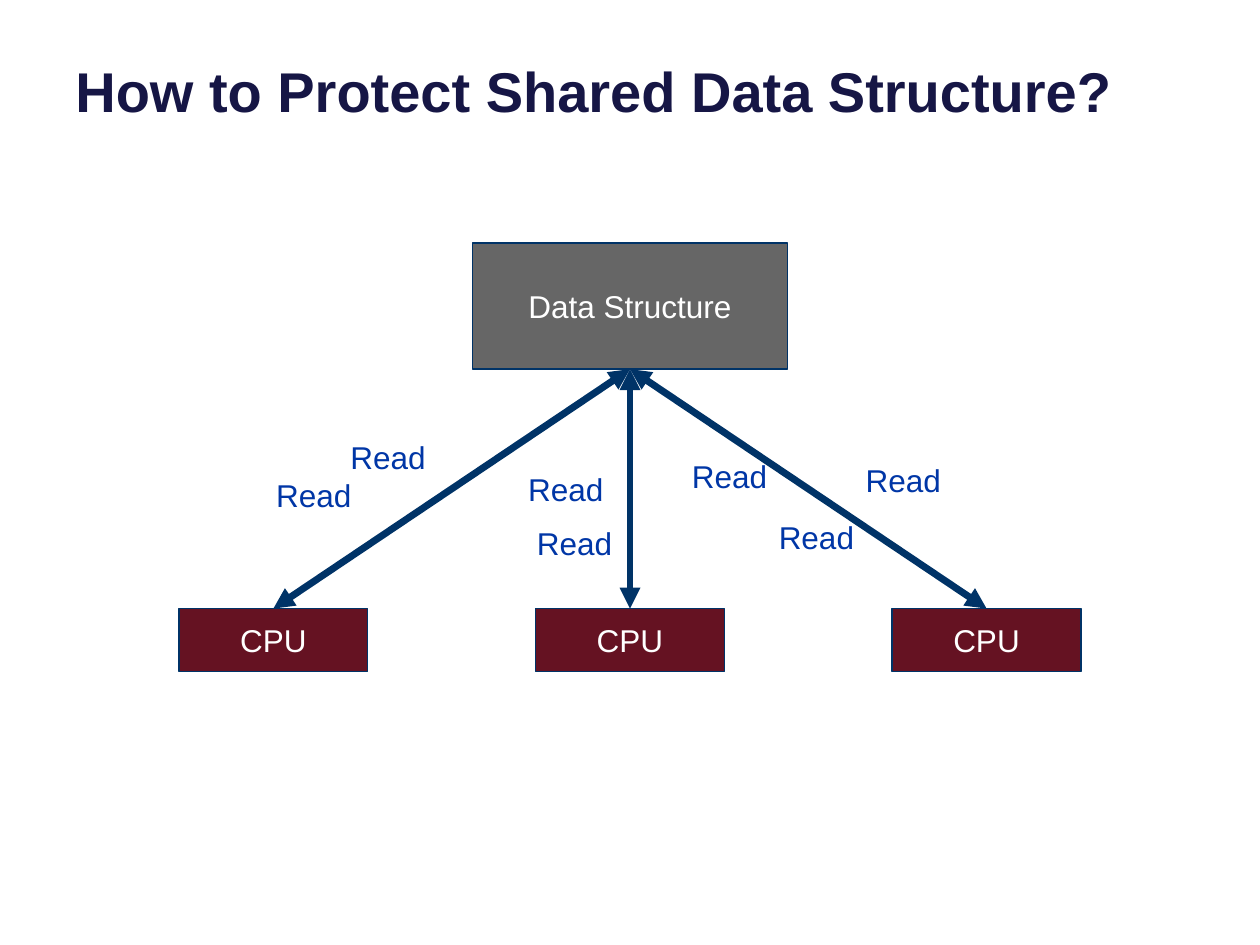
import pptx
import pptx.dml.color
import pptx.enum.shapes
import pptx.enum.text
import pptx.oxml.ns
import pptx.util
from lxml import etree
from pptx.util import Inches

RGBColor = pptx.dml.color.RGBColor
PP_ALIGN = pptx.enum.text.PP_ALIGN
MSO_ANCHOR = pptx.enum.text.MSO_ANCHOR

TITLE_NAVY = RGBColor(0x16, 0x16, 0x45)
STRUCTURE_GRAY = RGBColor(0x66, 0x66, 0x66)
CPU_MAROON = RGBColor(0x65, 0x12, 0x22)
LINE_BLUE = RGBColor(0x00, 0x33, 0x67)
READ_BLUE = RGBColor(0x00, 0x36, 0xA6)
WHITE = RGBColor(0xFF, 0xFF, 0xFF)

CENTER_X = 5
STRUCTURE_TOP, STRUCTURE_WIDTH, STRUCTURE_HEIGHT = 1.93, 2.5, 1
CPU_TOP, CPU_WIDTH, CPU_HEIGHT = 4.83, 1.5, 0.5
CPU_SPACING = 2.83
READ_POSITIONS = [
    (2.33, 3.43), (1.74, 3.73),
    (3.74, 3.68), (3.81, 4.11),
    (5.04, 3.58), (5.73, 4.06), (6.42, 3.61),
]


def write_text(frame, text, size, color, align, anchor, bold=False):
    frame.word_wrap = True
    frame.vertical_anchor = anchor
    frame.text = text
    paragraph = frame.paragraphs[0]
    paragraph.alignment = align
    font = paragraph.runs[0].font
    font.name = "Arial"
    font.size = pptx.util.Pt(size)
    font.bold = bold
    font.color.rgb = color


def add_title(slide, text):
    title = slide.shapes.add_textbox(
        Inches(0.5), Inches(-0.67), Inches(9), Inches(1.7))
    write_text(title.text_frame, text, 32, TITLE_NAVY,
               PP_ALIGN.LEFT, MSO_ANCHOR.BOTTOM, bold=True)


def add_block(slide, text, center_x, top, width, height, fill):
    block = slide.shapes.add_shape(
        pptx.enum.shapes.MSO_SHAPE.RECTANGLE,
        Inches(center_x - width / 2), Inches(top), Inches(width), Inches(height))
    block.shadow.inherit = False
    block.fill.solid()
    block.fill.fore_color.rgb = fill
    block.line.color.rgb = LINE_BLUE
    block.line.width = pptx.util.Pt(0.75)
    write_text(block.text_frame, text, 18, WHITE,
               PP_ALIGN.CENTER, MSO_ANCHOR.MIDDLE)


def add_access_arrow(slide, cpu_x):
    arrow = slide.shapes.add_connector(
        pptx.enum.shapes.MSO_CONNECTOR.STRAIGHT,
        Inches(CENTER_X), Inches(STRUCTURE_TOP + STRUCTURE_HEIGHT),
        Inches(cpu_x), Inches(CPU_TOP))
    arrow.line.color.rgb = LINE_BLUE
    arrow.line.width = pptx.util.Pt(4)
    qn = pptx.oxml.ns.qn
    properties = arrow.element.spPr
    outline = properties.find(qn("a:ln"))
    for end in ("a:headEnd", "a:tailEnd"):
        etree.SubElement(outline, qn(end), type="triangle")
    etree.SubElement(properties, qn("a:effectLst"))


def add_read_label(slide, left, top):
    label = slide.shapes.add_textbox(
        Inches(left), Inches(top), Inches(1.5), Inches(0.4))
    write_text(label.text_frame, "Read", 18, READ_BLUE,
               PP_ALIGN.CENTER, MSO_ANCHOR.MIDDLE)


def main():
    deck = pptx.Presentation()
    deck.slide_width, deck.slide_height = Inches(10), Inches(7.5)
    slide = deck.slides.add_slide(deck.slide_layouts[6])

    add_title(slide, "How to Protect Shared Data Structure?")
    add_block(slide, "Data Structure", CENTER_X, STRUCTURE_TOP,
              STRUCTURE_WIDTH, STRUCTURE_HEIGHT, STRUCTURE_GRAY)
    for step in (-1, 0, 1):
        cpu_x = CENTER_X + step * CPU_SPACING
        add_block(slide, "CPU", cpu_x, CPU_TOP, CPU_WIDTH, CPU_HEIGHT, CPU_MAROON)
        add_access_arrow(slide, cpu_x)
    for left, top in READ_POSITIONS:
        add_read_label(slide, left, top)

    deck.save("out.pptx")


if __name__ == "__main__":
    main()
